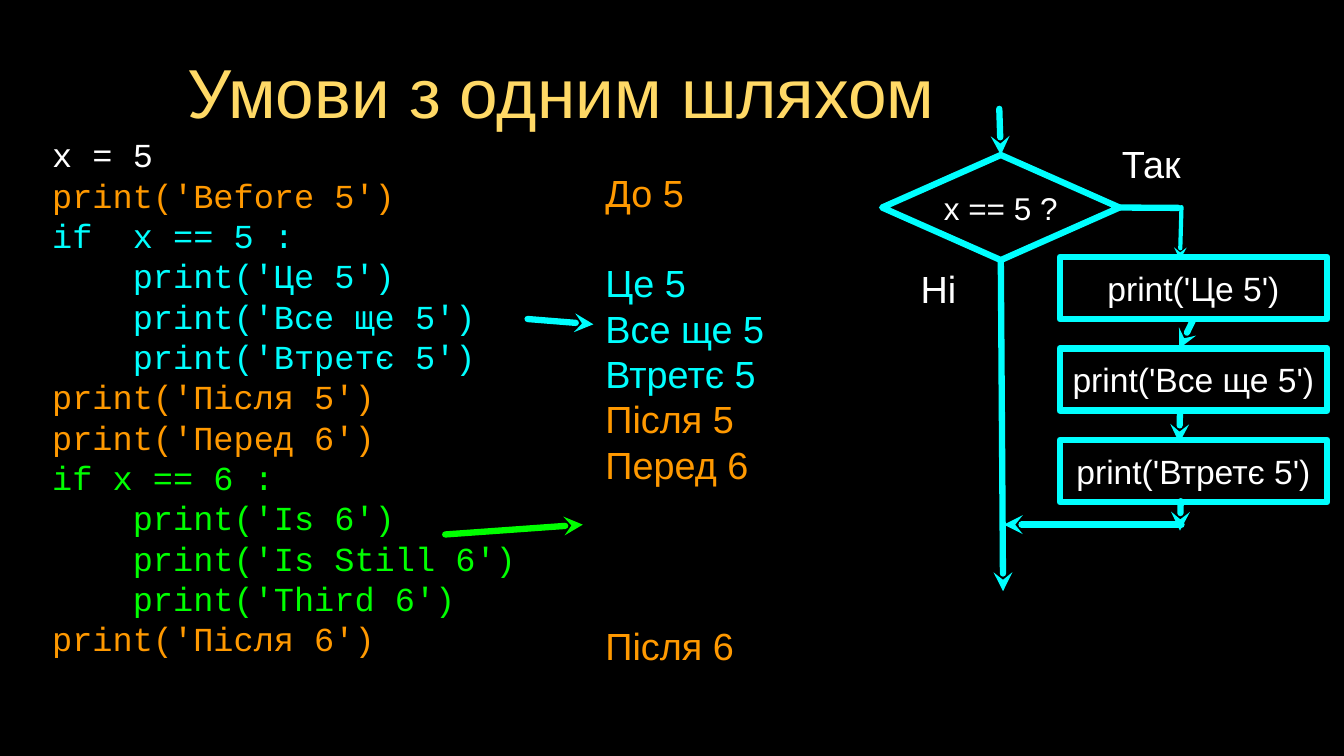
from dataclasses import dataclass
from typing import Optional

from lxml.etree import SubElement
from pptx import Presentation
from pptx.dml.color import RGBColor
from pptx.enum.shapes import MSO_CONNECTOR as Connector, MSO_SHAPE as Preset
from pptx.enum.text import MSO_ANCHOR as Anchor, PP_ALIGN as Align
from pptx.oxml.ns import qn
from pptx.util import Inches, Pt

BLACK = RGBColor(0x00, 0x00, 0x00)
WHITE = RGBColor(0xFF, 0xFF, 0xFF)
GOLD = RGBColor(0xFF, 0xD9, 0x66)
ORANGE = RGBColor(0xFF, 0x99, 0x00)
CYAN = RGBColor(0x00, 0xFF, 0xFF)
GREEN = RGBColor(0x00, 0xFF, 0x00)

SANS, MONO = "Arial", "Courier New"
LEADING = 1.2  # line pitch as a multiple of the text size
TOP, BOTTOM, RIGHT = 0, 2, 3


@dataclass
class Line:
    text: str
    color: RGBColor = WHITE
    gap: int = 0  # empty rows above


@dataclass
class Area:
    left: float
    top: float
    width: float
    height: float

    def lengths(self) -> tuple:
        return tuple(map(Inches, (self.left, self.top, self.width, self.height)))


@dataclass
class Arrow:
    start: tuple
    end: tuple
    color: RGBColor = CYAN
    weight: float = 6
    head: bool = True
    begin_at: Optional[tuple] = None  # (shape, side)
    end_at: Optional[tuple] = None


def write(box, lines: list, size: float, font: str = SANS,
          align=Align.CENTER, wrap: bool = True) -> None:
    frame = box.text_frame
    settings = dict(word_wrap=wrap, vertical_anchor=Anchor.MIDDLE, margin_left=0,
                    margin_right=0, margin_top=0, margin_bottom=0)
    for name, value in settings.items():
        setattr(frame, name, value)
    for index, line in enumerate(lines):
        para = frame.add_paragraph() if index else frame.paragraphs[0]
        para.alignment = align
        if len(lines) > 1:
            para.line_spacing = Pt(size * LEADING)
        if line.gap:
            para.space_before = Pt(size * LEADING * line.gap)
        span = para.add_run()
        span.text = line.text
        for name, value in dict(name=font, size=Pt(size)).items():
            setattr(span.font, name, value)
        span.font.color.rgb = line.color


def add_text(page, area: Area, lines: list, size: float, **options) -> None:
    write(page.shapes.add_textbox(*area.lengths()), lines, size, **options)


def add_node(page, preset, area: Area, text: str, size: float):
    node = page.shapes.add_shape(preset, *area.lengths())
    node.shadow.inherit = False
    node.fill.background()
    node.line.color.rgb = CYAN
    node.line.width = Pt(6)
    write(node, [Line(text)], size, wrap=False)
    return node


def add_arrow(page, arrow: Arrow) -> None:
    link = page.shapes.add_connector(
        Connector.STRAIGHT, *map(Inches, arrow.start + arrow.end))
    if arrow.begin_at:
        link.begin_connect(*arrow.begin_at)
    if arrow.end_at:
        link.end_connect(*arrow.end_at)
    link.line.color.rgb = arrow.color
    link.line.width = Pt(arrow.weight)
    stroke = link.line._get_or_add_ln()
    stroke.set("cap", "rnd")
    if arrow.head:
        SubElement(stroke, qn("a:tailEnd"), type="stealth")
    SubElement(link._element.spPr, qn("a:effectLst"))


CODE = [
    Line("x = 5"),
    Line("print('Before 5')", ORANGE),
    Line("if  x == 5 :", CYAN),
    Line("    print('Це 5')", CYAN),
    Line("    print('Все ще 5')", CYAN),
    Line("    print('Втретє 5')", CYAN),
    Line("print('Після 5')", ORANGE),
    Line("print('Перед 6')", ORANGE),
    Line("if x == 6 :", GREEN),
    Line("    print('Is 6')", GREEN),
    Line("    print('Is Still 6')", GREEN),
    Line("    print('Third 6')", GREEN),
    Line("print('Після 6')", ORANGE),
]
OUTPUT = [
    Line("До 5", ORANGE),
    Line("Це 5", CYAN, gap=1),
    Line("Все ще 5", CYAN),
    Line("Втретє 5", CYAN),
    Line("Після 5", ORANGE),
    Line("Перед 6", ORANGE),
    Line("Після 6", ORANGE, gap=3),
]
STEPS = ["print('Це 5')", "print('Все ще 5')", "print('Втретє 5')"]


def main() -> None:
    deck = Presentation()
    deck.slide_width, deck.slide_height = Inches(17.78), Inches(10)
    page = deck.slides.add_slide(deck.slide_layouts[6])
    page.background.fill.solid()
    page.background.fill.fore_color.rgb = BLACK

    # Title, code and its output
    add_text(page, Area(2.22, 0.62, 10.41, 1.17),
             [Line("Умови з одним шляхом", GOLD)], 66)
    add_text(page, Area(0.69, 1.69, 6.25, 7.11), CODE, 32, font=MONO, align=Align.LEFT)
    add_text(page, Area(8.01, 2.28, 3.09, 6.52), OUTPUT, 36, align=Align.LEFT)

    # Flowchart nodes and branch labels
    test = add_node(page, Preset.DIAMOND, Area(11.67, 2.05, 3.14, 1.39), "x == 5 ?", 30)
    steps = [add_node(page, Preset.RECTANGLE, Area(14.02, 3.4 + 1.21 * row, 3.54, 0.82),
                      text, 32) for row, text in enumerate(STEPS)]
    add_text(page, Area(14.62, 1.82, 1.22, 0.68), [Line("Так")], 36)
    add_text(page, Area(12.02, 3.47, 0.79, 0.68), [Line("Ні")], 36)

    # Arrows: code to output, then the flow
    arrows = [
        Arrow((6.98, 4.22), (7.85, 4.29)),
        Arrow((5.89, 7.07), (7.71, 6.94), GREEN),
        Arrow((13.22, 1.44), (13.23, 2.06), end_at=(test, TOP)),
        Arrow((13.22, 3.38), (13.27, 7.82), begin_at=(test, BOTTOM)),
        Arrow((14.8, 2.74), (15.59, 2.75), head=False, begin_at=(test, RIGHT)),
        Arrow((15.63, 2.74), (15.61, 3.44), weight=4),
        Arrow((15.79, 4.22), (15.6, 4.61), begin_at=(steps[0], BOTTOM)),
        Arrow((15.61, 5.47), (15.6, 5.86)),
        Arrow((15.62, 6.63), (15.61, 7.02)),
        Arrow((15.63, 6.94), (13.28, 6.94)),
    ]
    for arrow in arrows:
        add_arrow(page, arrow)

    deck.save("out.pptx")


if __name__ == "__main__":
    main()
